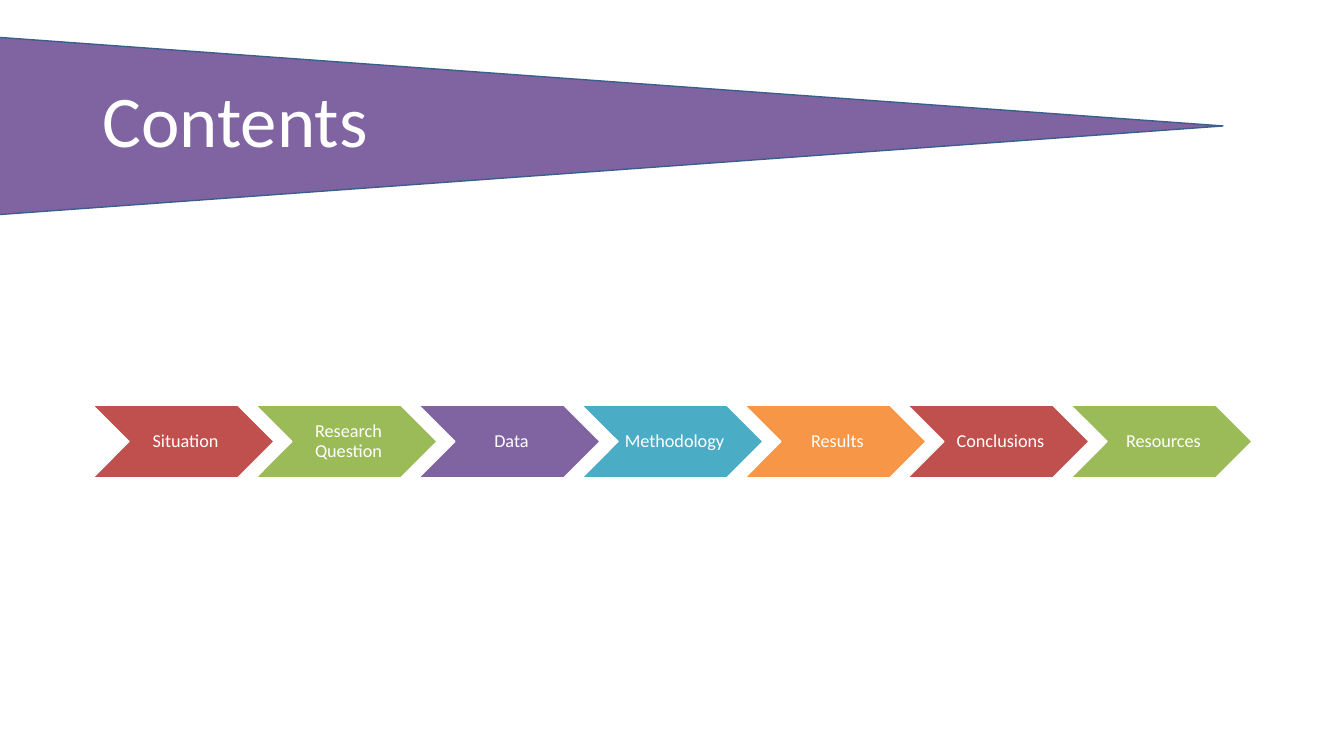
from pptx import Presentation
from pptx.dml.color import RGBColor
from pptx.enum.shapes import MSO_SHAPE
from pptx.enum.text import MSO_ANCHOR, PP_ALIGN
from pptx.util import Inches, Pt

RED, GREEN, PURPLE = "C0504D", "9BBB59", "8064A2"
TEAL, ORANGE, WHITE = "4BACC6", "F79646", "FFFFFF"
STEPS = [
    ("Situation", RED),
    ("Research Question", GREEN),
    ("Data", PURPLE),
    ("Methodology", TEAL),
    ("Results", ORANGE),
    ("Conclusions", RED),
    ("Resources", GREEN),
]


def paint(color, tint):
    """Set a fill or font colour from a hex string."""
    color.rgb = RGBColor.from_string(tint)


def add_form(slide, kind, box, fill, line):
    """Add a filled preset shape with a thin outline."""
    form = slide.shapes.add_shape(kind, *map(Inches, box))
    form.shadow.inherit = False
    form.fill.solid()
    paint(form.fill.fore_color, fill)
    paint(form.line.color, line)
    form.line.width = Pt(1)
    return form


def write(frame, text, size, align):
    """Write one white paragraph, centred vertically."""
    frame.word_wrap = True
    frame.vertical_anchor = MSO_ANCHOR.MIDDLE
    para = frame.paragraphs[0]
    para.text = text
    para.alignment = align
    para.line_spacing = 0.9
    para.font.name = "Calibri"
    para.font.size = Pt(size)
    paint(para.font.color, WHITE)


def add_title(slide, text):
    """Add the tapering banner and the title on it."""
    banner = add_form(slide, MSO_SHAPE.RIGHT_ARROW, (-0.16, 0.36, 12.29, 1.78), PURPLE, "3A5F8C")
    banner.adjustments[0] = 0.5
    banner.adjustments[1] = 6.91
    box = slide.shapes.add_textbox(Inches(0.92), Inches(0.61), Inches(11.5), Inches(1.24))
    write(box.text_frame, text, 52, PP_ALIGN.LEFT)


def add_step(slide, index, text, fill):
    """Add one labelled chevron of the row."""
    left = 0.92 + index * 9.7 / (len(STEPS) - 1)
    step = add_form(slide, MSO_SHAPE.CHEVRON, (left, 4.02, 1.8, 0.72), fill, WHITE)
    frame = step.text_frame
    frame.margin_left = Inches(0.06)
    frame.margin_right = frame.margin_top = frame.margin_bottom = Inches(0.02)
    write(frame, text, 13, PP_ALIGN.CENTER)


def main():
    """Build and save the contents slide."""
    deck = Presentation()
    deck.slide_width, deck.slide_height = Inches(13.33), Inches(7.5)
    slide = deck.slides.add_slide(deck.slide_layouts[6])
    add_title(slide, "Contents")
    for index, (text, fill) in enumerate(STEPS):
        add_step(slide, index, text, fill)
    deck.save("out.pptx")


if __name__ == "__main__":
    main()
